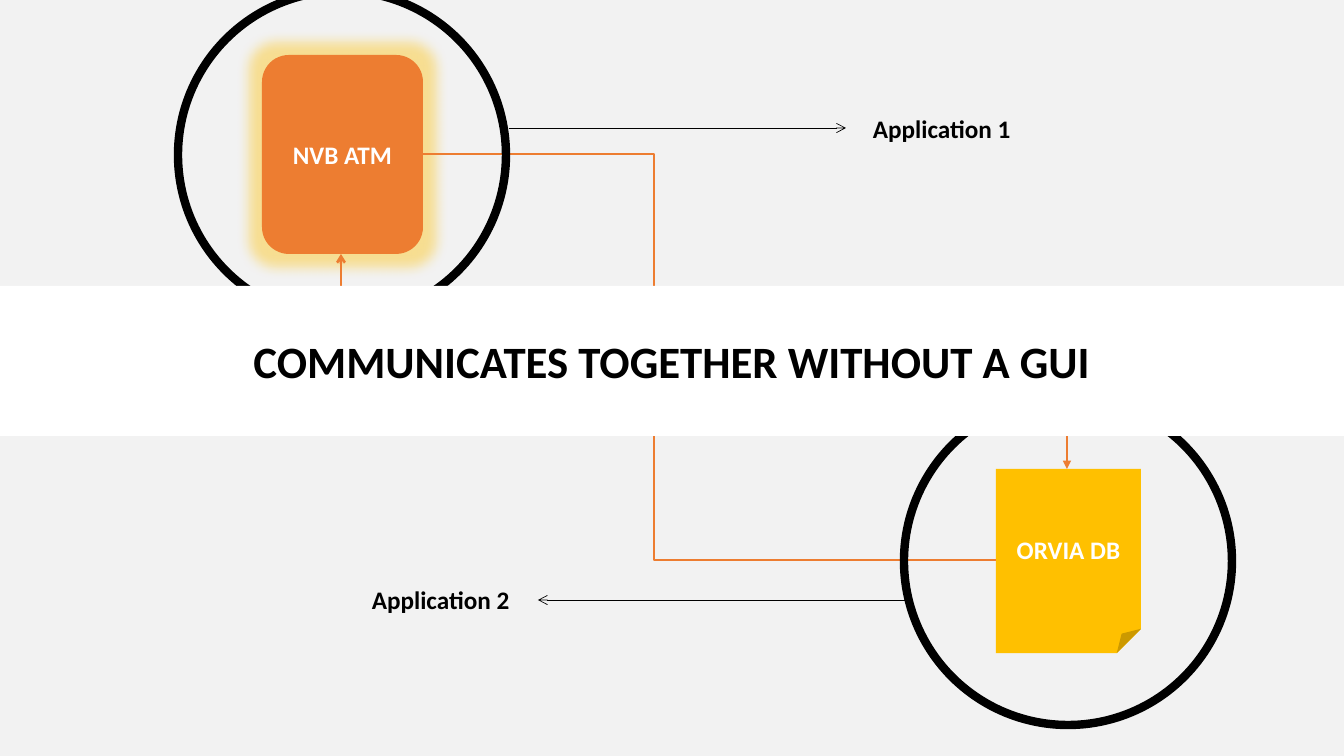
import pptx
import pptx.dml.color
import pptx.enum.shapes
import pptx.enum.text
import pptx.oxml
import pptx.oxml.ns
import pptx.util
from dataclasses import dataclass
from lxml import etree

SHAPE = pptx.enum.shapes.MSO_SHAPE
CONNECTOR = pptx.enum.shapes.MSO_CONNECTOR
ALIGN = pptx.enum.text.PP_ALIGN
ANCHOR = pptx.enum.text.MSO_ANCHOR
qn = pptx.oxml.ns.qn

WIDTH, HEIGHT = 1344, 756
EMU_PER_PX = 12192000 / WIDTH


@dataclass(frozen=True)
class Theme:
    font: str = "Calibri"
    background: str = "F2F2F2"
    ink: str = "000000"
    paper: str = "FFFFFF"
    orange: str = "ED7D31"
    gold: str = "FFC000"
    label_size: int = 18
    headline_size: int = 32
    ring_line: float = 6
    link_line: float = 1.75
    callout_line: float = 0.5
    glow_radius: int = 18


THEME = Theme()


def px(length):
    return pptx.util.Emu(round(length * EMU_PER_PX))


def rgb(colour):
    return pptx.dml.color.RGBColor.from_string(colour)


def write(shape, words, colour, size=THEME.label_size, align=ALIGN.CENTER):
    frame = shape.text_frame
    frame.text = words
    frame.word_wrap = True
    frame.vertical_anchor = ANCHOR.MIDDLE
    frame.paragraphs[0].alignment = align
    font = frame.paragraphs[0].runs[0].font
    font.name, font.size, font.bold = THEME.font, pptx.util.Pt(size), True
    font.color.rgb = rgb(colour)


def add_block(slide, kind, box, fill):
    block = slide.shapes.add_shape(kind, *map(px, box))
    block.shadow.inherit = False
    block.fill.solid()
    block.fill.fore_color.rgb = rgb(fill)
    block.line.fill.background()
    return block


def add_arrow(slide, start, end, colour, width, head="arrow", bent=False):
    kind = CONNECTOR.ELBOW if bent else CONNECTOR.STRAIGHT
    arrow = slide.shapes.add_connector(kind, *map(px, start + end))
    arrow.line.color.rgb = rgb(colour)
    arrow.line.width = pptx.util.Pt(width)
    properties = arrow._element.spPr
    if bent:
        # One corner: horizontal first, then vertical
        properties.find(qn("a:prstGeom")).set("prst", "bentConnector2")
    etree.SubElement(properties.find(qn("a:ln")), qn("a:tailEnd"), type=head)
    etree.SubElement(properties, qn("a:effectLst"))
    return arrow


def add_glow(shape, colour, radius):
    effects = shape._element.spPr.find(qn("a:effectLst"))
    glow = etree.SubElement(effects, qn("a:glow"), rad=str(pptx.util.Pt(radius)))
    tint = etree.SubElement(glow, qn("a:srgbClr"), val=colour)
    etree.SubElement(tint, qn("a:alpha"), val="40000")


def add_systems(slide, atm_box, database_box):
    atm = add_block(slide, SHAPE.ROUNDED_RECTANGLE, atm_box, THEME.orange)
    add_glow(atm, THEME.gold, THEME.glow_radius)
    write(atm, "NVB ATM", THEME.paper)
    database = add_block(slide, SHAPE.FOLDED_CORNER, database_box, THEME.gold)
    write(database, "ORVIA DB", THEME.paper)


def add_links(slide, atm_box, database_box, band_box):
    atm_x, atm_y, atm_w, atm_h = atm_box
    db_x, db_y, db_w, db_h = database_box
    middle = band_box[1] + band_box[3] // 2 + 1
    trunk = 654
    links = [
        ((780, middle), (db_x + db_w // 2 - 1, db_y), "triangle"),
        ((atm_x + atm_w, atm_y + atm_h // 2), (trunk, 300), "arrow"),
        ((db_x, db_y + db_h // 2 - 1), (trunk, 414), "arrow"),
        ((527, middle), (atm_x + atm_w // 2 - 1, atm_y + atm_h), "arrow"),
    ]
    for start, end, head in links:
        add_arrow(slide, start, end, THEME.orange, THEME.link_line, head, bent=True)


def add_application(slide, ring_box, arrow_start, arrow_end, label_box, name):
    """Ring with an arrow to its name; arrow and label are offset from the ring."""
    left, top = ring_box[:2]
    ring = add_block(slide, SHAPE.OVAL, ring_box, THEME.paper)
    ring.fill.background()
    ring.line.color.rgb = rgb(THEME.ink)
    ring.line.width = pptx.util.Pt(THEME.ring_line)
    start, end = [(left + x, top + y) for x, y in (arrow_start, arrow_end)]
    add_arrow(slide, start, end, THEME.ink, THEME.callout_line)
    x, y, width, height = label_box
    label = slide.shapes.add_textbox(*map(px, (left + x, top + y, width, height)))
    write(label, name, THEME.ink, align=ALIGN.LEFT)


def add_headline(slide, band_box):
    band = add_block(slide, SHAPE.RECTANGLE, band_box, THEME.paper)
    write(band, "COMMUNICATES TOGETHER WITHOUT A GUI", THEME.ink, THEME.headline_size)


def build_slide(deck):
    slide = deck.slides.add_slide(deck.slide_layouts[6])
    slide.background.fill.solid()
    slide.background.fill.fore_color.rgb = rgb(THEME.background)

    atm_box = (262, 55, 161, 199)
    database_box = (996, 469, 145, 184)
    band_box = (-2, 286, 1348, 150)
    ring = 328

    # Systems and the links between them
    add_systems(slide, atm_box, database_box)
    add_links(slide, atm_box, database_box, band_box)

    # Application rings with their names
    add_application(slide, (178, -9, ring, ring), (331, 137), (668, 137),
                    (685, 117, 341, 40), "Application 1")
    add_application(slide, (904, 397, ring, ring), (2, 203), (-366, 203),
                    (-542, 182, 292, 40), "Application 2")

    # Headline band across the middle
    add_headline(slide, band_box)


def main():
    deck = pptx.Presentation()
    deck.slide_width, deck.slide_height = px(WIDTH), px(HEIGHT)
    build_slide(deck)
    deck.save("out.pptx")


if __name__ == "__main__":
    main()
